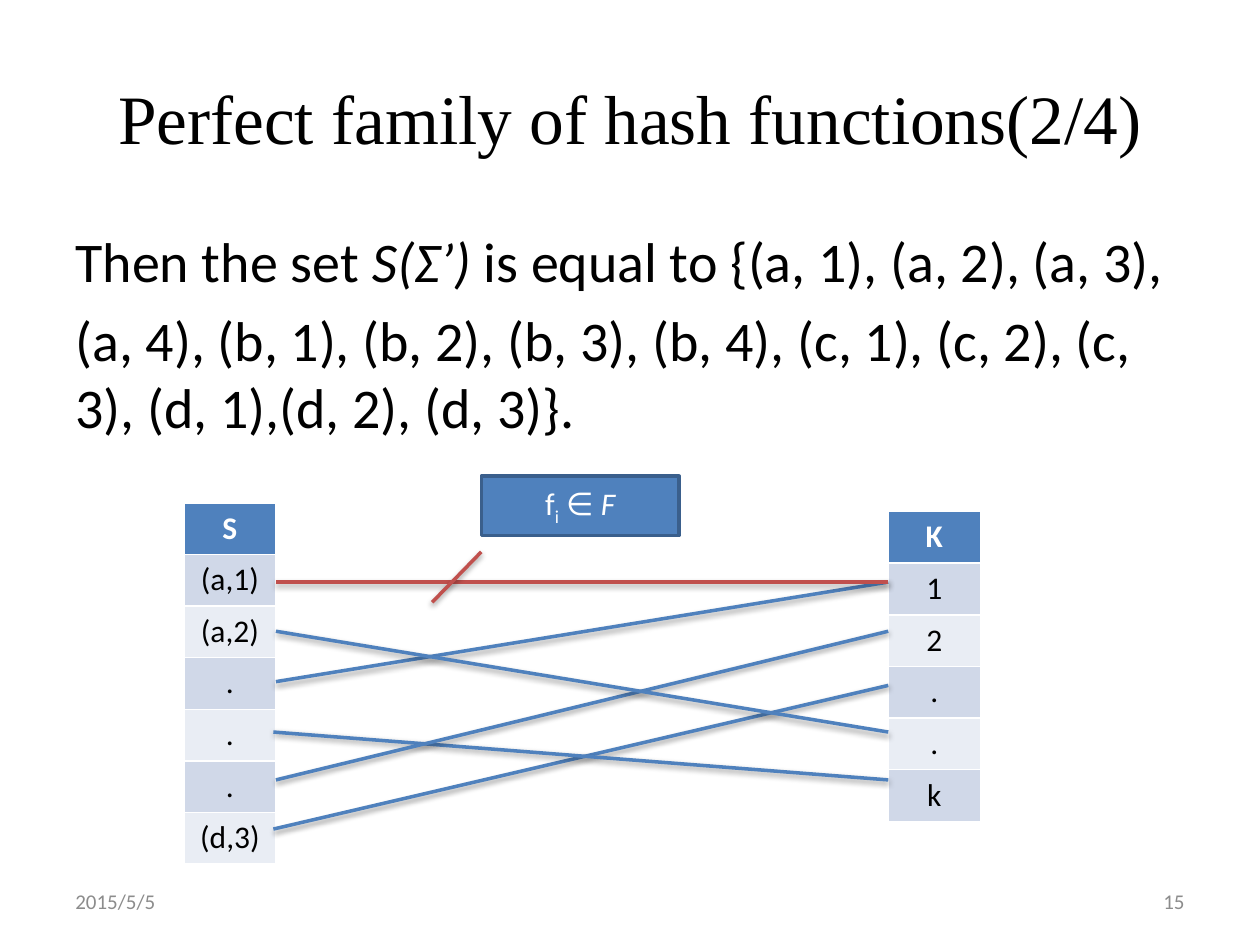
"""Build the slide on a perfect family of hash functions."""
import pptx
import pptx.util
import pptx.dml.color
import pptx.enum.shapes
import pptx.enum.text
import pptx.oxml
import pptx.oxml.ns

Inches, Pt = pptx.util.Inches, pptx.util.Pt
ALIGN = pptx.enum.text.PP_ALIGN
ANCHOR = pptx.enum.text.MSO_ANCHOR

COLORS = {
    "black": "000000", "white": "FFFFFF", "gray": "8C8C8C", "blue": "4F81BD",
    "edge": "3A5F8C", "red": "C0504D", "odd": "D0D8E8", "even": "E9EDF4",
}
TITLE = "Perfect family of hash functions(2/4)"
BODY = [
    [("Then the set ", {}), ("S(Σ’) ", {"italic": True}),
     ("is equal to {(a, 1), (a, 2), (a, 3),", {})],
    [("(a, 4), (b, 1), (b, 2), (b, 3), (b, 4), (c, 1), (c, 2), (c, 3), "
      "(d, 1),(d, 2), (d, 3)}.", {})],
]
LABEL = [[("f", {}), ("i", {"baseline": "-25000"}), (" ∈ ", {}), ("F", {"italic": True})]]
FOOTERS = [("2015/5/5", 0.5, ALIGN.LEFT), ("15", 7.17, ALIGN.RIGHT)]
TABLES = [
    (1.46, 3.99, ["S", "(a,1)", "(a,2)", ".", ".", ".", "(d,3)"]),
    (7.05, 4.06, ["K", "1", "2", ".", ".", "k"]),
]
CELL_W, CELL_H = 0.73, 0.41
LINES = [
    (2.19, 5.41, 7.05, 4.62, "blue"),
    (2.17, 6.58, 7.05, 5.44, "blue"),
    (2.17, 5.81, 7.05, 6.19, "blue"),
    (2.19, 4.62, 7.05, 4.62, "red"),
    (2.19, 6.19, 7.05, 5.01, "blue"),
    (2.19, 5.01, 7.05, 5.81, "blue"),
    (3.43, 4.78, 3.82, 4.38, "red"),
]
SHADOW = (
    f'<a:effectLst {pptx.oxml.ns.nsdecls("a")}>'
    '<a:outerShdw blurRad="40000" dist="20000" dir="5400000" rotWithShape="0">'
    '<a:srgbClr val="000000"><a:alpha val="38000"/></a:srgbClr>'
    '</a:outerShdw></a:effectLst>'
)


def rgb(name):
    return pptx.dml.color.RGBColor.from_string(COLORS[name])


def write(tf, paragraphs, size, color, align=ALIGN.LEFT, font="Calibri", bold=False, gap=0):
    tf.word_wrap = True
    for i, runs in enumerate(paragraphs):
        p = tf.add_paragraph() if i else tf.paragraphs[0]
        p.alignment = align
        if i:
            p.space_before = Pt(gap)
        for text, style in runs:
            r = p.add_run()
            r.text = text
            r.font.name, r.font.size, r.font.bold = font, Pt(size), bold
            r.font.color.rgb = rgb(color)
            r.font.italic = style.get("italic", False)
            if "baseline" in style:
                r.font._element.set("baseline", style["baseline"])


def add_table(s, left, top, labels):
    table = s.shapes.add_table(len(labels), 1, Inches(left), Inches(top), Inches(CELL_W),
                               Inches(CELL_H * len(labels))).table
    for i, label in enumerate(labels):
        cell = table.cell(i, 0)
        header = i == 0
        cell.fill.solid()
        cell.fill.fore_color.rgb = rgb("blue" if header else "odd" if i % 2 else "even")
        write(cell.text_frame, [[(label, {})]], 18, "white" if header else "black",
              ALIGN.CENTER, bold=header)


def add_line(s, x1, y1, x2, y2, color):
    line = s.shapes.add_connector(pptx.enum.shapes.MSO_CONNECTOR.STRAIGHT,
                                  Inches(x1), Inches(y1), Inches(x2), Inches(y2))
    line.line.color.rgb = rgb(color)
    line.line.width = Pt(2)
    line._element.spPr.append(pptx.oxml.parse_xml(SHADOW))


def main():
    prs = pptx.Presentation()
    prs.slide_width, prs.slide_height = Inches(10), Inches(7.5)
    s = prs.slides.add_slide(prs.slide_layouts[5])

    title = s.shapes.title
    title.left, title.top, title.width, title.height = map(Inches, (0.5, 0.3, 9, 1.25))
    title.text_frame.vertical_anchor = ANCHOR.MIDDLE
    write(title.text_frame, [[(TITLE, {})]], 39.6, "black", ALIGN.CENTER, "Times New Roman")

    body = s.shapes.add_textbox(Inches(0.5), Inches(1.75), Inches(9), Inches(4.95))
    write(body.text_frame, BODY, 32, "black", gap=6.4)

    for text, left, align in FOOTERS:
        box = s.shapes.add_textbox(Inches(left), Inches(6.95), Inches(2.33), Inches(0.4))
        box.text_frame.vertical_anchor = ANCHOR.MIDDLE
        write(box.text_frame, [[(text, {})]], 12, "gray", align)

    for left, top, labels in TABLES:
        add_table(s, left, top, labels)
    for line in LINES:
        add_line(s, *line)

    label = s.shapes.add_shape(pptx.enum.shapes.MSO_SHAPE.RECTANGLE,
                               Inches(3.82), Inches(3.78), Inches(1.57), Inches(0.47))
    label.shadow.inherit = False
    label.fill.solid()
    label.fill.fore_color.rgb = rgb("blue")
    label.line.color.rgb = rgb("edge")
    label.line.width = Pt(2)
    label.text_frame.vertical_anchor = ANCHOR.MIDDLE
    write(label.text_frame, LABEL, 18, "white", ALIGN.CENTER)

    prs.save("out.pptx")


if __name__ == "__main__":
    main()
